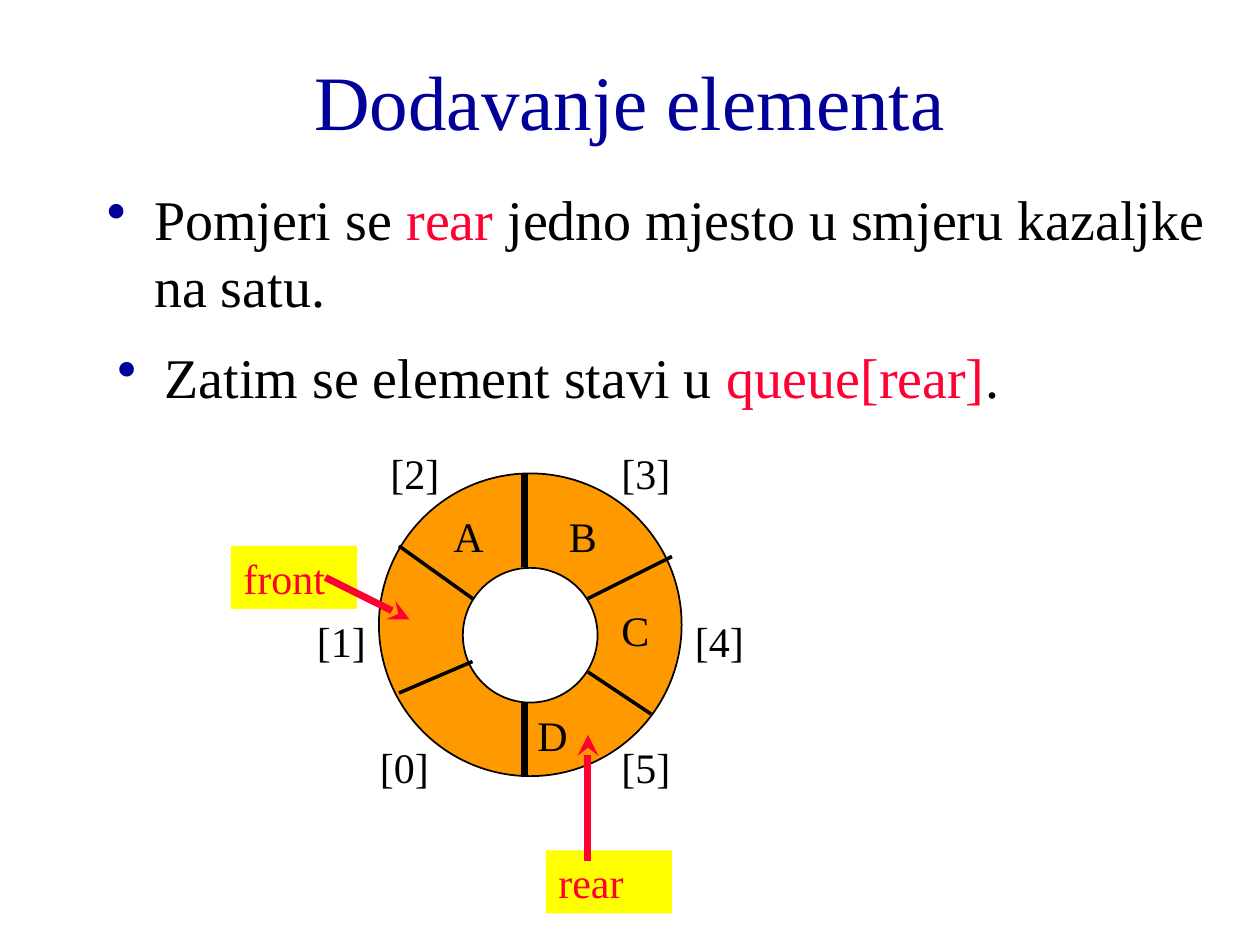
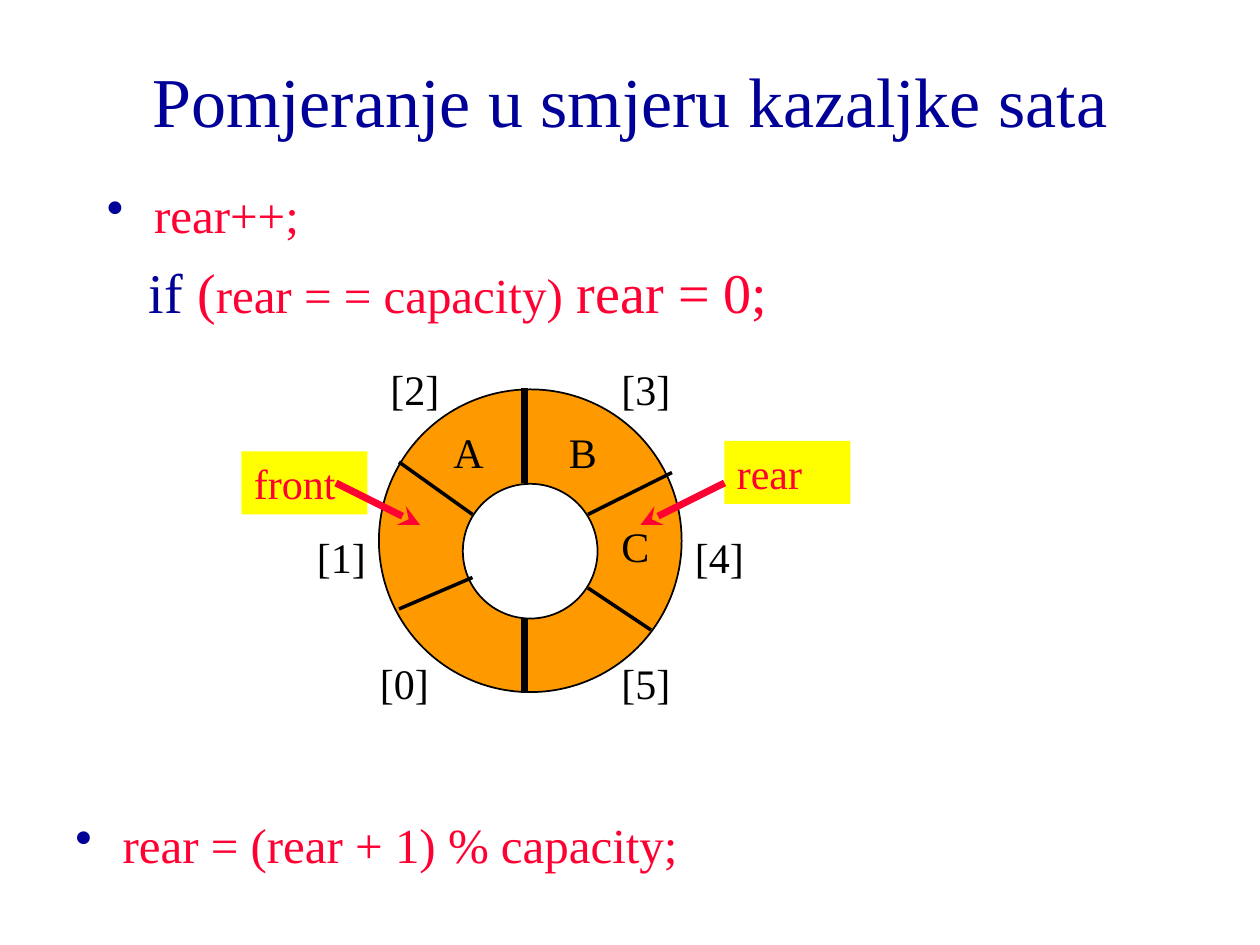
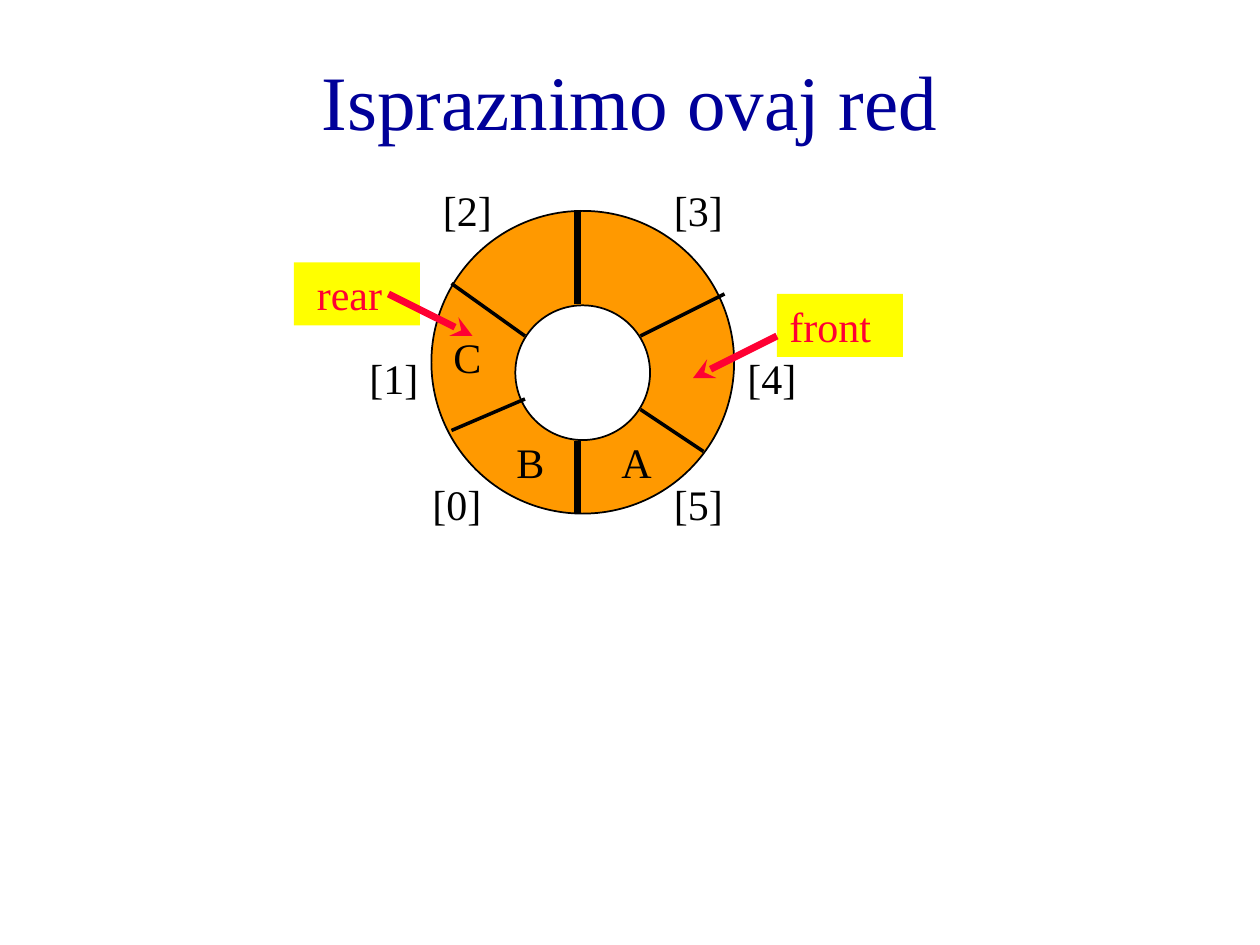
from lxml import etree
from pptx import Presentation
from pptx.dml.color import RGBColor
from pptx.enum.shapes import MSO_CONNECTOR, MSO_SHAPE
from pptx.enum.text import MSO_ANCHOR, MSO_AUTO_SIZE, PP_ALIGN
from pptx.oxml.ns import qn
from pptx.util import Pt

STRAIGHT = MSO_CONNECTOR.STRAIGHT
OVAL, RECT = MSO_SHAPE.OVAL, MSO_SHAPE.RECTANGLE
TOP, MIDDLE = MSO_ANCHOR.TOP, MSO_ANCHOR.MIDDLE
LEFT, CENTER = PP_ALIGN.LEFT, PP_ALIGN.CENTER
FIT, NO_FIT = MSO_AUTO_SIZE.SHAPE_TO_FIT_TEXT, MSO_AUTO_SIZE.NONE

FONT = "Times New Roman"
NAVY, RED, BLACK = "000099", "FF0033", "000000"
ORANGE, YELLOW, WHITE = "FF9900", "FFFF00", "FFFFFF"

TITLE_BOX = (54, 12, 612, 90)
HANGING = 27
INDEX_SIZE, ELEMENT_SIZE, TAG_SIZE = (66, 36), (48, 36), (72, 36)
DIVIDERS = [
    (84, 0, 84, 54, 4), (84, 132, 84, 174, 4),
    (12, 42, 54, 72, 2), (54, 108, 12, 126, 2),
    (120, 72, 168, 48, 2), (120, 114, 156, 138, 2),
]
INDEX_SPOTS = [(-6, 150), (-42, 78), (0, -18), (132, -18), (174, 78), (132, 150)]
ARROWS = {
    "right": (54, 18, 48, 24),
    "left": (0, 24, -48, 24),
    "up": (24, 6, 0, -72),
}


def rgb(value):
    """Turn a hex string into a colour."""
    return RGBColor.from_string(value)


def add_paragraph(p, runs, size=24, color=BLACK, align=LEFT, before=0):
    """Fill a paragraph with (text, overrides) runs."""
    p.alignment = align
    p.space_before = Pt(before)
    for text, own in runs:
        r = p.add_run()
        r.text = text
        r.font.name = FONT
        r.font.size = Pt(own.get("size", size))
        r.font.color.rgb = rgb(own.get("color", color))


def set_frame(tf, anchor=TOP, fit=NO_FIT):
    """Set wrapping, anchor and fitting of a text frame."""
    tf.word_wrap = True
    tf.vertical_anchor = anchor
    tf.auto_size = fit


def add_text(shapes, box, text, anchor=TOP, fit=NO_FIT, **fmt):
    """Add a text box holding one line in one format."""
    sp = shapes.add_textbox(*map(Pt, box))
    set_frame(sp.text_frame, anchor, fit)
    add_paragraph(sp.text_frame.paragraphs[0], [(text, {})], **fmt)


def add_figure(shapes, kind, box, fill, outlined=False):
    """Add a filled preset shape."""
    sp = shapes.add_shape(kind, *map(Pt, box))
    sp.shadow.inherit = False
    sp.fill.solid()
    sp.fill.fore_color.rgb = rgb(fill)
    if outlined:
        sp.line.color.rgb = rgb(BLACK)
        sp.line.width = Pt(1)
    else:
        sp.line.fill.background()
    return sp


def add_line(shapes, ends, width, color=BLACK, arrow=False):
    """Add a straight line, with an arrowhead at its end if asked."""
    cx = shapes.add_connector(STRAIGHT, *map(Pt, ends))
    cx.line.color.rgb = rgb(color)
    cx.line.width = Pt(width)
    props = cx.element.spPr
    if arrow:
        etree.SubElement(props.find(qn("a:ln")), qn("a:tailEnd"), type="stealth")
    etree.SubElement(props, qn("a:effectLst"))


def add_body(slide, box, paragraphs):
    """Add a body text from (bulleted, left indent, format, runs) paragraphs."""
    tf = slide.shapes.add_textbox(*map(Pt, box)).text_frame
    set_frame(tf)
    for i, (bulleted, indent, fmt, runs) in enumerate(paragraphs):
        p = tf.add_paragraph() if i else tf.paragraphs[0]
        add_paragraph(p, runs, **fmt)
        props = p._p.get_or_add_pPr()
        props.set("marL", str(Pt(indent)))
        props.set("indent", str(Pt(-HANGING if bulleted else 0)))
        if bulleted:
            color = etree.SubElement(props, qn("a:buClr"))
            etree.SubElement(color, qn("a:srgbClr"), val=NAVY)
            etree.SubElement(props, qn("a:buChar"), char="•")


def add_pointer(shapes, x, y, text, direction):
    """Add a yellow tag and the red arrow that leaves it."""
    sp = add_figure(shapes, RECT, (x, y, *TAG_SIZE), YELLOW)
    set_frame(sp.text_frame, fit=FIT)
    add_paragraph(sp.text_frame.paragraphs[0], [(text, {})], color=RED, before=15)
    dx, dy, run, rise = ARROWS[direction]
    x, y = x + dx, y + dy
    add_line(shapes, (x, y, x + run, y + rise), 4, RED, arrow=True)


def add_queue(slide, x, y, elements, pointers):
    """Draw the circular queue with its indexes, elements and pointers."""
    shapes = slide.shapes.add_group_shape().shapes
    add_figure(shapes, OVAL, (x + 0.5, y + 0.5, 173, 173), ORANGE, outlined=True)
    add_figure(shapes, OVAL, (x + 48.5, y + 54.5, 77, 77), WHITE, outlined=True)
    for x1, y1, x2, y2, width in DIVIDERS:
        add_line(shapes, (x + x1, y + y1, x + x2, y + y2), width)
    labels = [(f"[{i}]", dx, dy, INDEX_SIZE) for i, (dx, dy) in enumerate(INDEX_SPOTS)]
    labels += [(name, dx, dy, ELEMENT_SIZE) for name, dx, dy in elements]
    for text, dx, dy, size in labels:
        add_text(shapes, (x + dx, y + dy, *size), text, fit=FIT, before=15)
    for text, dx, dy, direction in pointers:
        add_pointer(shapes, x + dx, y + dy, text, direction)


def add_slide(prs, title, size=44):
    """Add a blank slide with its title."""
    slide = prs.slides.add_slide(prs.slide_layouts[6])
    add_text(slide.shapes, TITLE_BOX, title, anchor=MIDDLE,
             size=size, color=NAVY, align=CENTER)
    return slide


def main():
    """Build the three slides and save them."""
    prs = Presentation()
    prs.slide_width, prs.slide_height = Pt(720), Pt(540)
    large = {"size": 32, "before": 8}
    code = {"size": 28, "color": RED, "before": 7}
    red = {"color": RED}
    abc = [("A", 36, 18), ("B", 102, 18), ("C", 132, 72)]

    slide = add_slide(prs, "Dodavanje elementa")
    add_body(slide, (54, 102, 648, 84), [(True, HANGING, large, [
        ("Pomjeri se ", {}), ("rear ", red),
        ("jedno mjesto u smjeru kazaljke na satu.", {})])])
    add_queue(slide, 216, 270, abc + [("D", 84, 132)],
              [("front", -84, 42, "right"), ("rear", 96, 216, "up")])
    add_body(slide, (60, 192, 648, 36), [(True, HANGING, large, [
        ("Zatim se element stavi u ", {}), ("queue[rear]", red), (".", {})])])

    slide = add_slide(prs, "Pomjeranje u smjeru kazaljke sata", size=40)
    add_queue(slide, 216, 222, abc,
              [("front", -78, 36, "right"), ("rear", 198, 30, "left")])
    add_body(slide, (54, 102, 648, 90), [
        (True, HANGING, code, [("rear++;", {})]),
        (False, 24, {**large, **red}, [
            ("if ", {"color": NAVY}), ("(", {}),
            ("rear = = capacity)", {"size": 28}), (" rear = 0;", {})])])
    add_body(slide, (36, 462, 648, 54), [
        (True, HANGING, code, [("rear = (rear + 1) % capacity;", {})])])

    slide = add_slide(prs, "Ispraznimo ovaj red")
    add_queue(slide, 246, 120, [("A", 102, 126), ("B", 42, 126), ("C", 6, 66)],
              [("front", 198, 48, "left"), (" rear", -78, 30, "right")])

    prs.save("out.pptx")


if __name__ == "__main__":
    main()
